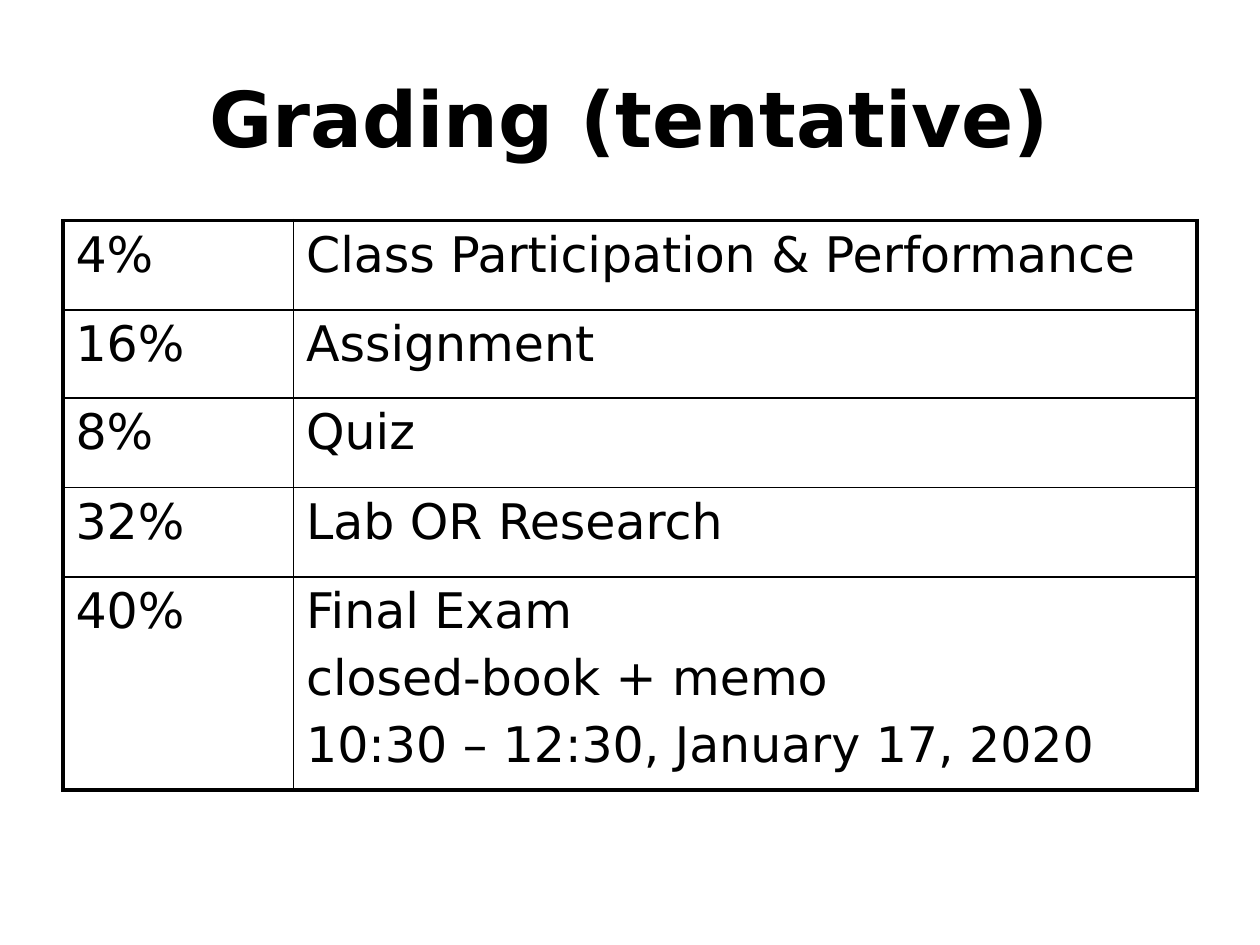
import pptx
import pptx.dml.color
import pptx.enum.text
import pptx.oxml
import pptx.oxml.ns
import pptx.util
from pptx.util import Inches

BLACK = pptx.dml.color.RGBColor(0, 0, 0)
WHITE = pptx.dml.color.RGBColor(255, 255, 255)
FONT = "DejaVu Sans"
THIN, THICK = 1, 2.25

COLS = [1.83, 7.17]
ROWS = [0.71, 0.7, 0.71, 0.71, 1.69]
GRADES = [
    ("4%", ["Class Participation & Performance"]),
    ("16%", ["Assignment"]),
    ("8%", ["Quiz"]),
    ("32%", ["Lab OR Research"]),
    ("40%", ["Final Exam", "closed-book + memo",
             "10:30 – 12:30, January 17, 2020"]),
]


def add_run(para, text, size, bold=False):
    run = para.add_run()
    run.text = text
    font = run.font
    font.name = FONT
    font.size = pptx.util.Pt(size)
    font.bold = bold
    font.color.rgb = BLACK


def add_title(slide, text):
    box = slide.shapes.add_textbox(Inches(0.5), Inches(0.3), Inches(9), Inches(1.25))
    frame = box.text_frame
    frame.word_wrap = True
    frame.vertical_anchor = pptx.enum.text.MSO_ANCHOR.MIDDLE
    para = frame.paragraphs[0]
    para.alignment = pptx.enum.text.PP_ALIGN.CENTER
    add_run(para, text, 44, True)


def add_edge(cell, side, width):
    """Draw one cell border; side is L, R, T or B."""
    props = cell._tc.get_or_add_tcPr()
    props.append(pptx.oxml.parse_xml(
        f'<a:ln{side} {pptx.oxml.ns.nsdecls("a")} w="{pptx.util.Pt(width)}">'
        f'<a:solidFill><a:srgbClr val="{BLACK}"/></a:solidFill></a:ln{side}>'))


def fill_cell(cell, lines):
    for i, line in enumerate(lines):
        frame = cell.text_frame
        para = frame.add_paragraph() if i else frame.paragraphs[0]
        if i:
            para.space_before = pptx.util.Pt(5.6)
        add_run(para, line, 28)


def add_grades(slide):
    table = slide.shapes.add_table(
        len(ROWS), len(COLS), Inches(0.5), Inches(1.75),
        Inches(sum(COLS)), Inches(sum(ROWS))).table
    table.first_row = table.horz_banding = False
    for col, width in zip(table.columns, COLS):
        col.width = Inches(width)
    last = len(ROWS) - 1
    for r, (share, items) in enumerate(GRADES):
        table.rows[r].height = Inches(ROWS[r])
        for c, lines in enumerate([[share], items]):
            cell = table.cell(r, c)
            outer = {"L": c == 0, "R": c == 1, "T": r == 0, "B": r == last}
            for side, edge in outer.items():
                add_edge(cell, side, THICK if edge else THIN)
            cell.fill.solid()
            cell.fill.fore_color.rgb = WHITE
            fill_cell(cell, lines)


def main():
    deck = pptx.Presentation()
    deck.slide_width, deck.slide_height = Inches(10), Inches(7.5)
    slide = deck.slides.add_slide(deck.slide_layouts[6])
    add_title(slide, "Grading (tentative)")
    add_grades(slide)
    deck.save("out.pptx")


if __name__ == "__main__":
    main()
